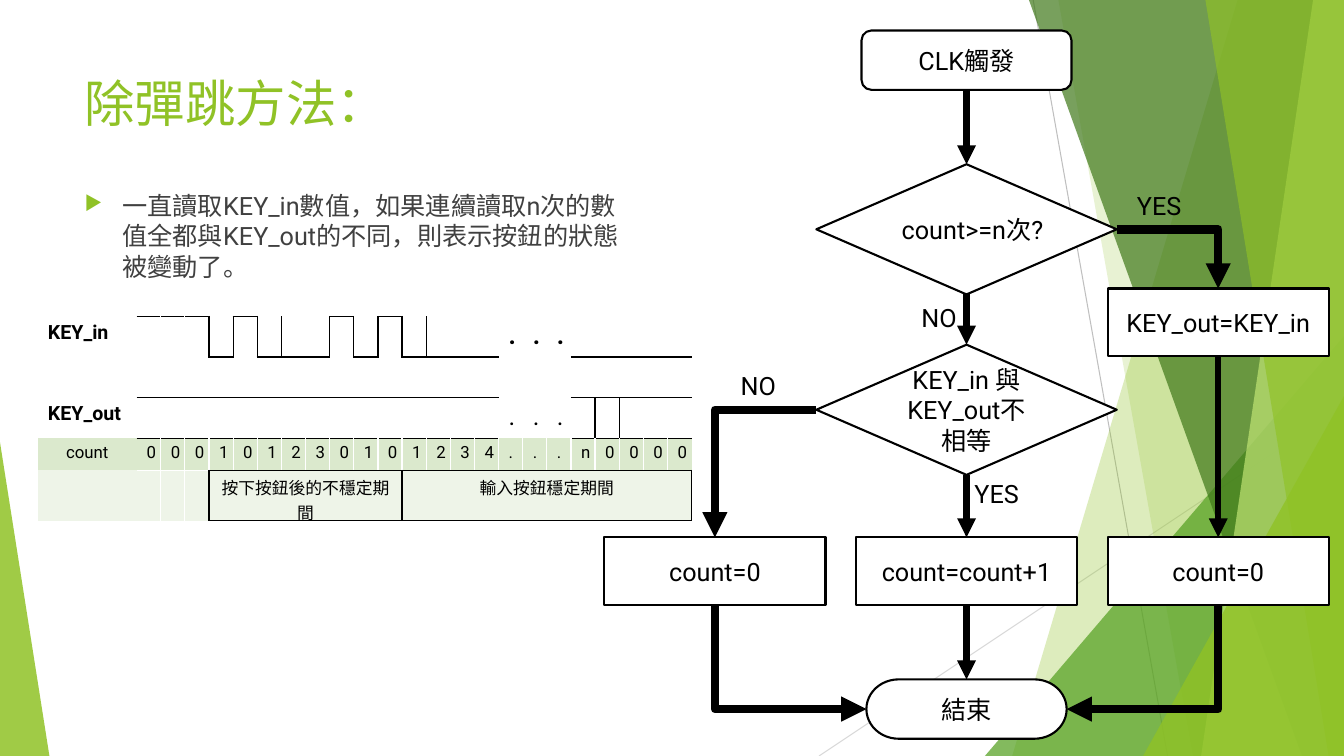
from collections import defaultdict

from lxml import etree
from pptx import Presentation
from pptx.dml.color import RGBColor
from pptx.enum.shapes import MSO_CONNECTOR, MSO_SHAPE
from pptx.enum.text import MSO_ANCHOR, PP_ALIGN
from pptx.oxml.ns import qn
from pptx.util import Pt

STRAIGHT, ELBOW = MSO_CONNECTOR.STRAIGHT, MSO_CONNECTOR.ELBOW
TRIANGLE = MSO_SHAPE.ISOSCELES_TRIANGLE
START, PROCESS = MSO_SHAPE.FLOWCHART_ALTERNATE_PROCESS, MSO_SHAPE.FLOWCHART_PROCESS
DECISION, END = MSO_SHAPE.FLOWCHART_DECISION, MSO_SHAPE.FLOWCHART_TERMINATOR
CENTER, LEFT, MIDDLE = PP_ALIGN.CENTER, PP_ALIGN.LEFT, MSO_ANCHOR.MIDDLE
TOP_SIDE, LEFT_SIDE, BOTTOM_SIDE, RIGHT_SIDE = range(4)

COLORS = {
    "black": "000000", "white": "FFFFFF", "body": "404040", "green": "90C226",
    "mid green": "54A021", "dark green": "3F7819", "pale green": "C0E474",
    "gray": "BFBFBF", "light gray": "D9D9D9", "count row": "DBE9CD", "period row": "EEF4E8",
}


def write(frame, text, size, color="black", align=LEFT, bold=False):
    frame.word_wrap = True
    paragraph = frame.paragraphs[0]
    paragraph.alignment = align
    run = paragraph.add_run()
    run.text = text
    run.font.name, run.font.size, run.font.bold = "Roboto", Pt(size), bold
    run.font.color.rgb = RGBColor.from_string(COLORS[color])
    return paragraph


def style_line(connector, color, width):
    connector.line.color.rgb = RGBColor.from_string(COLORS[color])
    connector.line.width = Pt(width)
    etree.SubElement(connector._element.spPr, qn("a:effectLst"))


presentation = Presentation()
presentation.slide_width, presentation.slide_height = Pt(960), Pt(540)
slide = presentation.slides.add_slide(presentation.slide_layouts[6])
shapes = slide.shapes

# Background lines
for x1, y1, x2, y2, color in [(738, 0, 834, 540, "gray"), (960, 290, 585, 540, "light gray")]:
    style_line(shapes.add_connector(STRAIGHT, Pt(x1), Pt(y1), Pt(x2), Pt(y2)), color, 0.75)

# Background facets: bands (top x, bottom x), triangles (left, top, width, height, apex)
facets = [
    ((884, 723), "green", 30),
    ((756, 852), "green", 20),
    ((703.5, 240, 256.5, 300, 1), "mid green", 72),
    ((735, 930), "dark green", 70),
    ((938, 858), "pale green", 70),
    ((861, 949), "green", 65),
    ((816.5, 283, 143.5, 257, 1), "green", 80),
    ((0, 316, 35.3, 224, 0), "green", 85),
]
for geometry, color, opacity in facets:
    if len(geometry) == 2:
        top_x, bottom_x = geometry
        builder = shapes.build_freeform(top_x, 0, scale=Pt(1))
        builder.add_line_segments([(960, 0), (960, 540), (bottom_x, 540)], close=True)
        shape = builder.convert_to_shape()
    else:
        shape = shapes.add_shape(TRIANGLE, *[Pt(value) for value in geometry[:4]])
        shape.adjustments[0] = geometry[4]
    shape.shadow.inherit = False
    shape.line.fill.background()
    shape.fill.solid()
    shape.fill.fore_color.rgb = RGBColor.from_string(COLORS[color])
    tint = shape._element.spPr.find(qn("a:solidFill"))[0]
    etree.SubElement(tint, qn("a:alpha"), val=str(opacity * 1000))

# Title and bullet
title = shapes.add_textbox(Pt(53.3), Pt(48), Pt(677), Pt(104))
write(title.text_frame, "除彈跳方法：", 36, "green")
body = shapes.add_textbox(Pt(53.3), Pt(132.5), Pt(404.6), Pt(359))
paragraph = write(body.text_frame, "一直讀取KEY_in數值，如果連續讀取n次的數值全都與KEY_out的不同，"
                  "則表示按鈕的狀態被變動了。", 18, "body")
properties = paragraph._p.get_or_add_pPr()
properties.set("marL", str(Pt(27)))
properties.set("indent", str(-Pt(27)))
bullet_color = etree.SubElement(properties, qn("a:buClr"))
etree.SubElement(bullet_color, qn("a:srgbClr"), val=COLORS["green"])
etree.SubElement(properties, qn("a:buSzPct"), val="80000")
etree.SubElement(properties, qn("a:buChar"), char="▶")

# Flowchart nodes, placed by their centres
MAIN_X, LEFT_X, RIGHT_X = 690.4, 510.7, 870.2
nodes = {}
for name, kind, x, y, width, height, text in [
    ("start", START, MAIN_X, 43, 150, 42.4, "CLK觸發"),
    ("differs", DECISION, MAIN_X, 292.7, 214.6, 93, "KEY_in 與 KEY_out不相等"),
    ("increment", PROCESS, MAIN_X, 408, 158, 48.4, "count=count+1"),
    ("reset left", PROCESS, LEFT_X, 408, 158, 48.4, "count=0"),
    ("end", END, MAIN_X, 506.5, 143, 42.4, "結束"),
    ("enough", DECISION, MAIN_X, 163.8, 214.6, 93, "count>=n次?"),
    ("reset right", PROCESS, RIGHT_X, 408, 158, 48.4, "count=0"),
    ("update", PROCESS, RIGHT_X, 230.3, 158, 48.4, "KEY_out=KEY_in"),
]:
    shape = shapes.add_shape(kind, Pt(x - width / 2), Pt(y - height / 2), Pt(width), Pt(height))
    shape.shadow.inherit = False
    shape.fill.solid()
    shape.fill.fore_color.rgb = RGBColor.from_string(COLORS["white"])
    shape.line.color.rgb = RGBColor.from_string(COLORS["black"])
    shape.line.width = Pt(1.5)
    shape.text_frame.vertical_anchor = MIDDLE
    write(shape.text_frame, text, 18, align=CENTER)
    nodes[name] = shape

# Flowchart arrows; bend is (rotation, horizontal flip) of a one-corner elbow
for source, source_side, target, target_side, bend in [
    ("start", BOTTOM_SIDE, "enough", TOP_SIDE, None),
    ("enough", BOTTOM_SIDE, "differs", TOP_SIDE, None),
    ("differs", BOTTOM_SIDE, "increment", TOP_SIDE, None),
    ("increment", BOTTOM_SIDE, "end", TOP_SIDE, None),
    ("update", BOTTOM_SIDE, "reset right", TOP_SIDE, None),
    ("differs", LEFT_SIDE, "reset left", TOP_SIDE, (0, 1)),
    ("enough", RIGHT_SIDE, "update", TOP_SIDE, (0, 0)),
    ("reset left", BOTTOM_SIDE, "end", LEFT_SIDE, (270, 1)),
    ("reset right", BOTTOM_SIDE, "end", RIGHT_SIDE, (90, 0)),
]:
    arrow = shapes.add_connector(ELBOW if bend else STRAIGHT, 0, 0, 0, 0)
    arrow.begin_connect(nodes[source], source_side)
    arrow.end_connect(nodes[target], target_side)
    style_line(arrow, "black", 6 if bend else 4.5)
    etree.SubElement(arrow.line._get_or_add_ln(), qn("a:tailEnd"), type="triangle")
    if bend:
        rotation, flip = bend
        middle_x = (arrow.begin_x + arrow.end_x) // 2
        middle_y = (arrow.begin_y + arrow.end_y) // 2
        width, height = abs(arrow.end_x - arrow.begin_x), abs(arrow.end_y - arrow.begin_y)
        if rotation:
            width, height = height, width
        arrow.left, arrow.top = middle_x - width // 2, middle_y - height // 2
        arrow.width, arrow.height = width, height
        frame = arrow._element.spPr.find(qn("a:xfrm"))
        frame.set("rot", str(rotation * 60000))
        frame.set("flipH", str(flip))
        frame.set("flipV", "0")
        arrow._element.spPr.find(qn("a:prstGeom")).set("prst", "bentConnector2")

# Branch labels
for left, top, text in [(651, 212.6, "NO"), (522, 261.2, "NO"),
                        (805, 132.6, "YES"), (689, 338.2, "YES")]:
    label = shapes.add_textbox(Pt(left), Pt(top), Pt(101), Pt(29))
    write(label.text_frame, text, 18)

# Timing table
COLUMN_WIDTHS = [70.6] + [17.2] * 23
ROW_HEIGHTS = [29, 29, 29, 23, 36]
graphic = shapes.add_table(5, 24, Pt(27), Pt(226), Pt(sum(COLUMN_WIDTHS)), Pt(sum(ROW_HEIGHTS)))
table = graphic.table
table.first_row = table.horz_banding = False
style_id = table._tbl.tblPr.find(qn("a:tableStyleId"))
style_id.text = "{2D5ABB26-0587-4C30-8999-92F81FD0307C}"
for column, width in zip(table.columns, COLUMN_WIDTHS):
    column.width = Pt(width)
for row, height in zip(table.rows, ROW_HEIGHTS):
    row.height = Pt(height)

# Waveforms: H high, L low, . continued
borders = defaultdict(dict)
for row, levels in [(0, "HHHLHLLLHLHLLLL...LLLLL"), (2, "H" * 15 + "...HLLLL")]:
    for column, level in enumerate(levels, 1):
        if level == "H":
            borders[row, column]["T"] = "black"
        elif level == "L":
            borders[row, column]["B"] = "black"
            borders[row + 1, column]["T"] = "black"
        if levels[column - 1:column + 1] in ("HL", "LH"):
            borders[row, column]["R"] = borders[row, column + 1]["L"] = "black"
        elif row == 0 and level == "H":
            borders[row, column]["R"] = borders[row, column + 1]["L"] = "white"

# White separators below the waveforms
for row, last in [(3, 23), (4, 3)]:
    for column in range(1, last):
        borders[row, column]["R"] = borders[row, column + 1]["L"] = "white"
for column in range(1, 4):
    borders[3, column]["B"] = borders[4, column]["T"] = "white"

# Period boxes
periods = [(4, 11, "按下按鈕後的不穩定期間"), (12, 23, "輸入按鈕穩定期間")]
for first, last, text in periods:
    for column in range(first, last + 1):
        borders[3, column]["B"] = borders[4, column]["T"] = borders[4, column]["B"] = "black"
    for column, side in [(first, "L"), (first, "R"), (last, "R"), (first - 1, "R")]:
        borders[4, column][side] = "black"
    table.cell(4, first).merge(table.cell(4, last))

for row, fill in enumerate(["white"] * 3 + ["count row", "period row"]):
    for column in range(24):
        cell = table.cell(row, column)
        cell_properties = cell._tc.get_or_add_tcPr()
        for side in "LRTB":
            if side in borders[row, column]:
                line = etree.SubElement(cell_properties, qn("a:ln" + side), w=str(Pt(1)))
                paint = etree.SubElement(line, qn("a:solidFill"))
                etree.SubElement(paint, qn("a:srgbClr"), val=COLORS[borders[row, column][side]])
        cell.fill.solid()
        cell.fill.fore_color.rgb = RGBColor.from_string(COLORS[fill])

# Table text
for row, name in [(0, "KEY_in"), (2, "KEY_out")]:
    write(table.cell(row, 0).text_frame, name, 14, bold=True)
    for column in range(16, 19):
        write(table.cell(row, column).text_frame, ".", 18, align=CENTER, bold=row == 0)
for column, text in enumerate(["count", *"000101230101234...n0000"]):
    write(table.cell(3, column).text_frame, text, 12, align=CENTER)
for first, last, text in periods:
    write(table.cell(4, first).text_frame, text, 12, align=CENTER)

presentation.save("out.pptx")
